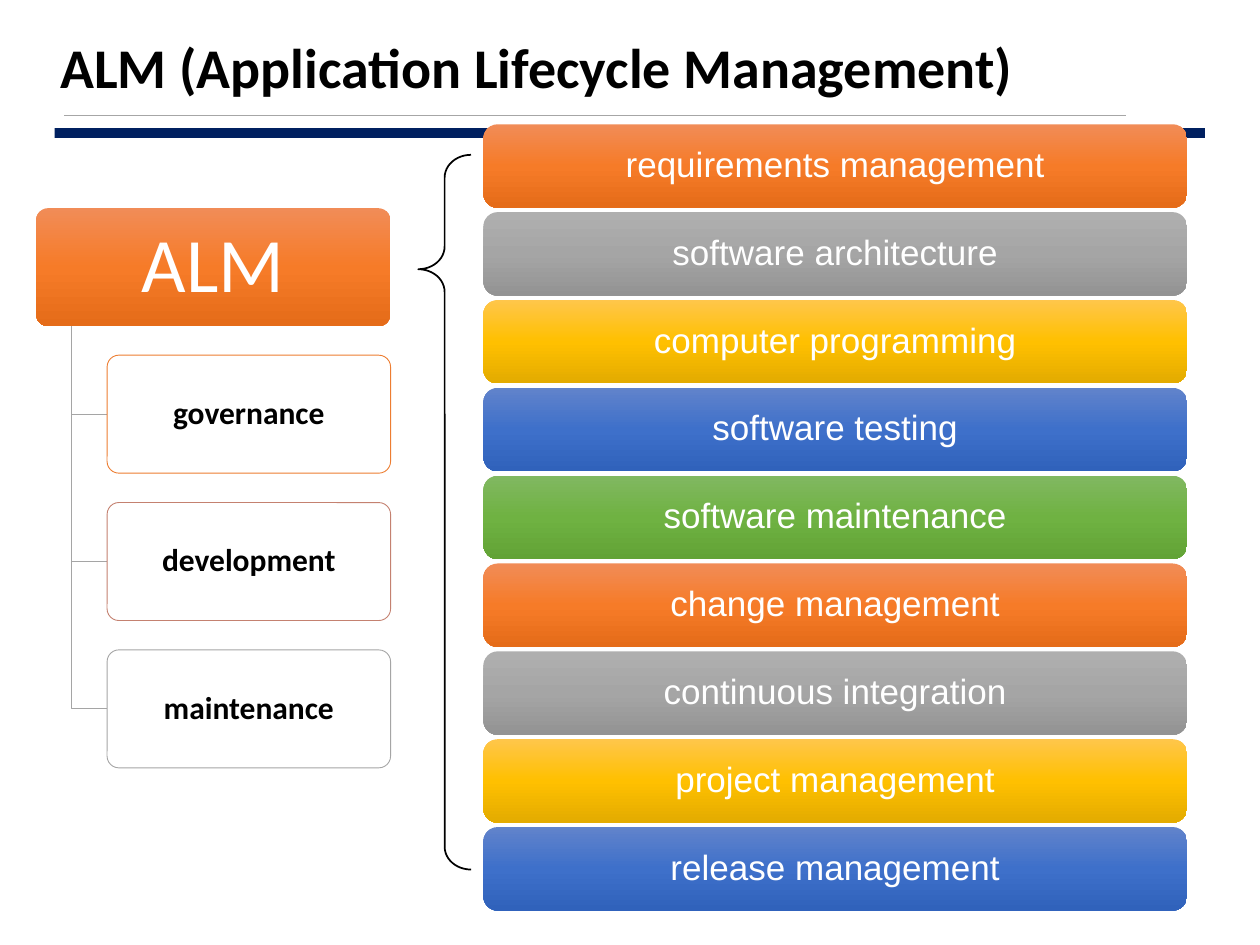
from copy import deepcopy
from dataclasses import dataclass
from typing import Any, Optional

from lxml.etree import SubElement
from pptx import Presentation
from pptx.dml.color import RGBColor
from pptx.enum.shapes import MSO_CONNECTOR, MSO_SHAPE
from pptx.enum.text import MSO_ANCHOR, PP_ALIGN
from pptx.oxml.ns import qn
from pptx.util import Pt

# Colours
BLACK = RGBColor(0x00, 0x00, 0x00)
WHITE = RGBColor(0xFF, 0xFF, 0xFF)
NAVY = RGBColor(0x00, 0x20, 0x60)
RULE = RGBColor(0xA6, 0xA6, 0xA6)
GREY = RGBColor(0xA5, 0xA5, 0xA5)
RUST = RGBColor(0xED, 0x7D, 0x31)
ROSE = RGBColor(0xC4, 0x81, 0x70)

# Gradients from top to bottom
Shades = tuple[RGBColor, RGBColor, RGBColor]
ORANGE: Shades = (RGBColor(0xF1, 0x8C, 0x57), RGBColor(0xF6, 0x7B, 0x28), RGBColor(0xE5, 0x6C, 0x19))
SILVER: Shades = (RGBColor(0xAF, 0xAF, 0xAF), GREY, RGBColor(0x93, 0x93, 0x93))
GOLD: Shades = (RGBColor(0xFF, 0xC6, 0x4B), RGBColor(0xFF, 0xC0, 0x00), RGBColor(0xE3, 0xAB, 0x00))
BLUE: Shades = (RGBColor(0x61, 0x83, 0xCB), RGBColor(0x3E, 0x70, 0xCA), RGBColor(0x30, 0x62, 0xBB))
GREEN: Shades = (RGBColor(0x81, 0xB8, 0x61), RGBColor(0x6F, 0xB2, 0x42), RGBColor(0x62, 0xA3, 0x36))


@dataclass
class Box:
    left: float
    top: float
    width: float
    height: float

    def place(self) -> list[Pt]:
        return [Pt(n) for n in (self.left, self.top, self.width, self.height)]


@dataclass
class Step:
    text: str
    shades: Shades


@dataclass
class Part:
    text: str
    edge: RGBColor


STEPS = [
    Step("requirements management", ORANGE),
    Step("software architecture", SILVER),
    Step("computer programming", GOLD),
    Step("software testing", BLUE),
    Step("software maintenance", GREEN),
    Step("change management", ORANGE),
    Step("continuous integration", SILVER),
    Step("project management", GOLD),
    Step("release management", BLUE),
]
PARTS = [Part("governance", RUST), Part("development", ROSE), Part("maintenance", GREY)]

# Text formats
HEAD = {"name": "Calibri", "size": Pt(32), "bold": True}
ROOT = {"name": "Calibri", "size": Pt(44), "bold": False}
LEAF = {"name": "Calibri", "size": Pt(18), "bold": True}
ITEM = {"name": "Arial", "size": Pt(20), "bold": False}

# Grid
STEP_BOX = Box(276.3, 71, 402, 47.7)
STEP_GAP = 50.2
ROOT_BOX = Box(20.7, 119, 202.3, 67.4)
PART_BOX = Box(61.2, 203, 162, 67.4)
PART_GAP = 84.2
TRUNK = 41


def apply(item: Any, form: dict[str, Any]) -> None:
    for name, value in form.items():
        setattr(item, name, value)


def write(shape: Any, text: str, form: dict[str, Any], tint: RGBColor, align: PP_ALIGN) -> None:
    frame = shape.text_frame
    apply(frame, {
        "word_wrap": True, "vertical_anchor": MSO_ANCHOR.MIDDLE,
        "margin_left": 0, "margin_right": 0, "margin_top": 0, "margin_bottom": 0,
    })
    para = frame.paragraphs[0]
    apply(para, {"alignment": align, "line_spacing": 0.9})
    run = para.add_run()
    run.text = text
    apply(run.font, form)
    run.font.color.rgb = tint


def draw(shapes: Any, kind: MSO_SHAPE, box: Box, fill: Optional[RGBColor] = None,
         edge: Optional[RGBColor] = None, weight: float = 0.5) -> Any:
    shape = shapes.add_shape(kind, *box.place())
    shape.shadow.inherit = False
    paint(shape, fill, edge, weight)
    return shape


def paint(shape: Any, fill: Optional[RGBColor], edge: Optional[RGBColor], weight: float) -> None:
    if fill is None:
        shape.fill.background()
    else:
        shape.fill.solid()
        shape.fill.fore_color.rgb = fill
    if edge is None:
        shape.line.fill.background()
    else:
        shape.line.color.rgb = edge
        shape.line.width = Pt(weight)


def card(shapes: Any, box: Box, round_: float) -> Any:
    shape = draw(shapes, MSO_SHAPE.ROUNDED_RECTANGLE, box)
    shape.adjustments[0] = round_
    return shape


def blend(shape: Any, shades: Shades) -> None:
    shape.fill.gradient()
    shape.fill.gradient_angle = 270
    stops = shape._element.spPr.find(qn("a:gradFill")).find(qn("a:gsLst"))
    stops.insert(1, deepcopy(stops[0]))
    for stop, tint, spot in zip(shape.fill.gradient_stops, shades, (0, 0.5, 1)):
        stop.color.rgb = tint
        stop.position = spot


def elbow(shapes: Any, top: float, end: float) -> None:
    pen = shapes.build_freeform(Pt(TRUNK), Pt(top))
    pen.add_line_segments([(Pt(TRUNK), Pt(end)), (Pt(PART_BOX.left), Pt(end))], close=False)
    shape = pen.convert_to_shape()
    shape.shadow.inherit = False
    paint(shape, None, GREY, 0.5)


def main() -> None:
    deck = Presentation()
    apply(deck, {"slide_width": Pt(720), "slide_height": Pt(540)})
    shapes = deck.slides.add_slide(deck.slide_layouts[6]).shapes

    # Header bar, rule and title
    draw(shapes, MSO_SHAPE.RECTANGLE, Box(31.2, 73.2, 657.4, 5.6), NAVY)
    rule = shapes.add_connector(MSO_CONNECTOR.STRAIGHT, Pt(36.8), Pt(66), Pt(643.5), Pt(66))
    apply(rule.line, {"width": Pt(0.5)})
    rule.line.color.rgb = RULE
    SubElement(rule._element.spPr, qn("a:effectLst"))
    title = shapes.add_textbox(*Box(34.5, 22.3, 609, 36).place())
    write(title, "ALM (Application Lifecycle Management)", HEAD, BLACK, PP_ALIGN.LEFT)

    # Stack of disciplines
    for row, step in enumerate(STEPS):
        top = STEP_BOX.top + row * STEP_GAP
        bar = card(shapes, Box(STEP_BOX.left, top, STEP_BOX.width, STEP_BOX.height), 0.17)
        blend(bar, step.shades)
        write(bar, step.text, ITEM, WHITE, PP_ALIGN.CENTER)

    # ALM and its three parts
    root = card(shapes, ROOT_BOX, 0.1)
    blend(root, ORANGE)
    write(root, "ALM", ROOT, WHITE, PP_ALIGN.CENTER)
    for row, part in enumerate(PARTS):
        top = PART_BOX.top + row * PART_GAP
        elbow(shapes, ROOT_BOX.top + ROOT_BOX.height, top + PART_BOX.height / 2)
        leaf = card(shapes, Box(PART_BOX.left, top, PART_BOX.width, PART_BOX.height), 0.1)
        paint(leaf, WHITE, part.edge, 0.5)
        tint = leaf._element.spPr.find(qn("a:solidFill"))[0]
        SubElement(tint, qn("a:alpha"), val="90000")
        write(leaf, part.text, LEAF, BLACK, PP_ALIGN.CENTER)

    # Brace between the two sides
    brace = draw(shapes, MSO_SHAPE.LEFT_BRACE, Box(239, 88.5, 30.2, 408.4), edge=BLACK, weight=1)
    brace.adjustments[0] = 0.43
    brace.adjustments[1] = 0.16

    deck.save("out.pptx")


if __name__ == "__main__":
    main()
